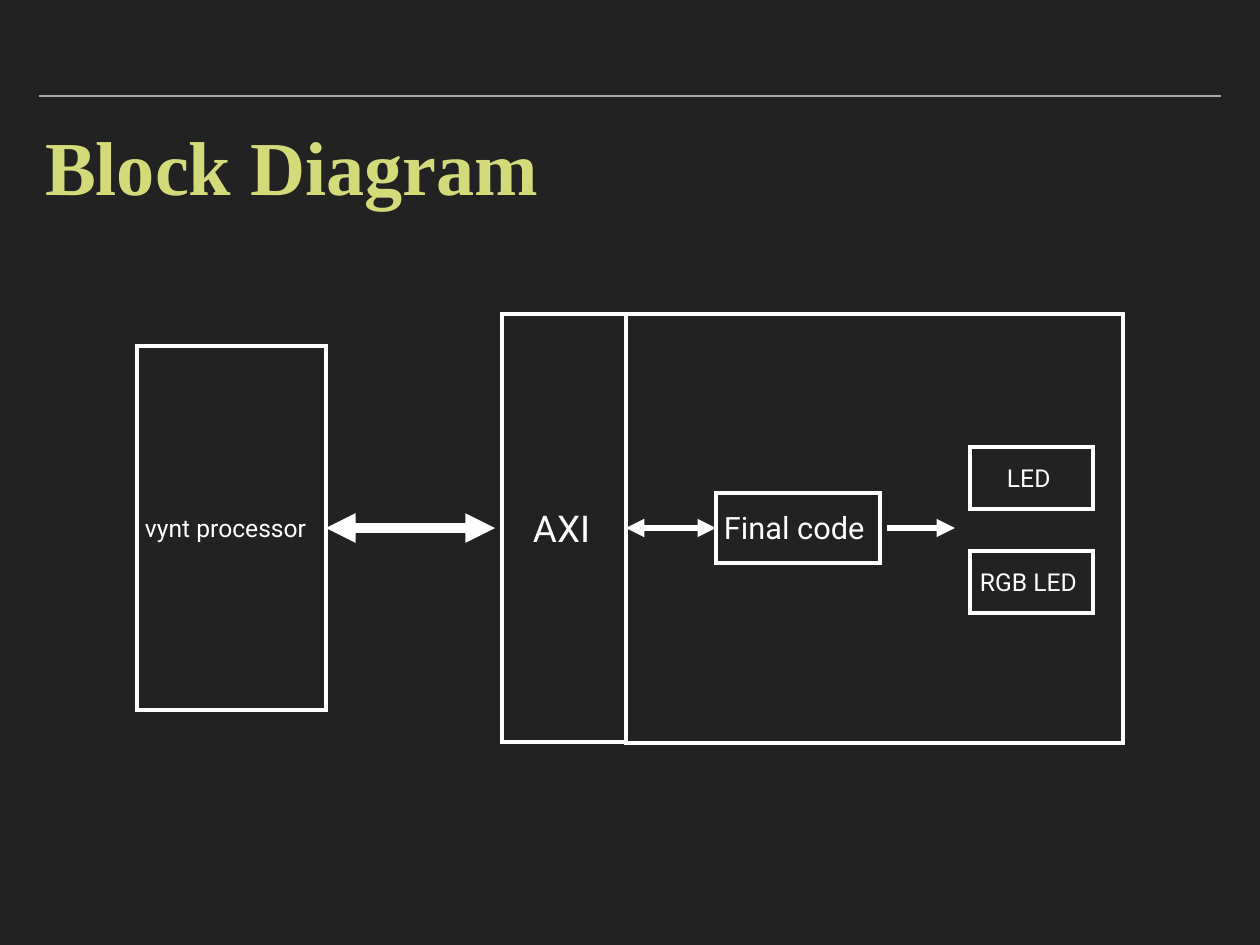
"""Build the block diagram slide."""
from lxml.etree import SubElement
from pptx import Presentation
from pptx.dml.color import RGBColor
from pptx.enum.shapes import MSO_CONNECTOR as CONN, MSO_SHAPE as SHAPE
from pptx.enum.text import MSO_ANCHOR as ANCHOR
from pptx.oxml.ns import qn
from pptx.util import Pt

PX = 10320
WHITE = "FFFFFF"


def rgb(color):
    return RGBColor.from_string(color)


def add_text(text, x, y, w, h, font, size, color=WHITE):
    tf = s.shapes.add_textbox(x * PX, y * PX, w * PX, h * PX).text_frame
    tf.margin_left = tf.margin_right = tf.margin_top = tf.margin_bottom = 5 * PX
    tf.vertical_anchor = ANCHOR.MIDDLE
    p = tf.paragraphs[0]
    p.text = text
    p.font.name, p.font.size, p.font.color.rgb = font, Pt(size), rgb(color)
    return tf


prs = Presentation()
prs.slide_width, prs.slide_height = 1260 * PX, 945 * PX
s = prs.slides.add_slide(prs.slide_layouts[6])
s.background.fill.solid()
s.background.fill.fore_color.rgb = rgb("222222")

tf = add_text("Block Diagram", 40, 132, 1181, 98, "Times New Roman", 62, "D3DA7A")
tf.word_wrap = True
tf.vertical_anchor = ANCHOR.TOP
tf.paragraphs[0].font.bold = True
tf.paragraphs[0].line_spacing = 0.8

blocks = [
    ("vynt processor", 137, 346, 189, 364, 182, 43, 20),
    ("AXI", 502, 314, 124, 428, 72, 60, 30),
    ("", 626, 314, 497, 429, 0, 0, 0),
    ("Final code", 716, 493, 164, 70, 158, 51, 25),
    ("LED", 970, 447, 123, 62, 58, 43, 20),
    ("RGB LED", 970, 551, 123, 62, 113, 43, 20),
]
boxes = {}
for name, x, y, w, h, label_w, label_h, size in blocks:
    sp = s.shapes.add_shape(SHAPE.RECTANGLE, x * PX, y * PX, w * PX, h * PX)
    sp.shadow.inherit = False
    sp.fill.background()
    sp.line.color.rgb = rgb(WHITE)
    sp.line.width = Pt(3)
    SubElement(sp._element.spPr.find(qn("a:ln")), qn("a:miter"), lim="800000")
    boxes[name] = sp
    if name:
        label_x, label_y = x + (w - label_w) // 2, y + (h - label_h) // 2
        tf = add_text(name, label_x, label_y, label_w, label_h, "Roboto", size)
        tf.word_wrap = False

lines = [
    (39, 1221, 96, 2, "A6AAA9", [], None, None),
    (326, 495, 528, 8, WHITE, ["headEnd", "tailEnd"], "vynt processor", None),
    (626, 716, 528, 5, WHITE, ["headEnd", "tailEnd"], "AXI", "Final code"),
    (887, 955, 528, 5, WHITE, ["tailEnd"], None, None),
]
for x1, x2, y, width, color, arrowheads, source, target in lines:
    c = s.shapes.add_connector(CONN.STRAIGHT, x1 * PX, y * PX, x2 * PX, y * PX)
    c.line.color.rgb = rgb(color)
    c.line.width = Pt(width)
    if source:
        c.begin_connect(boxes[source], 3)
    if target:
        c.end_connect(boxes[target], 1)
    spPr = c._element.spPr
    for end in arrowheads:
        SubElement(spPr.find(qn("a:ln")), qn(f"a:{end}"), type="triangle")
    SubElement(spPr, qn("a:effectLst"))

prs.save("out.pptx")
